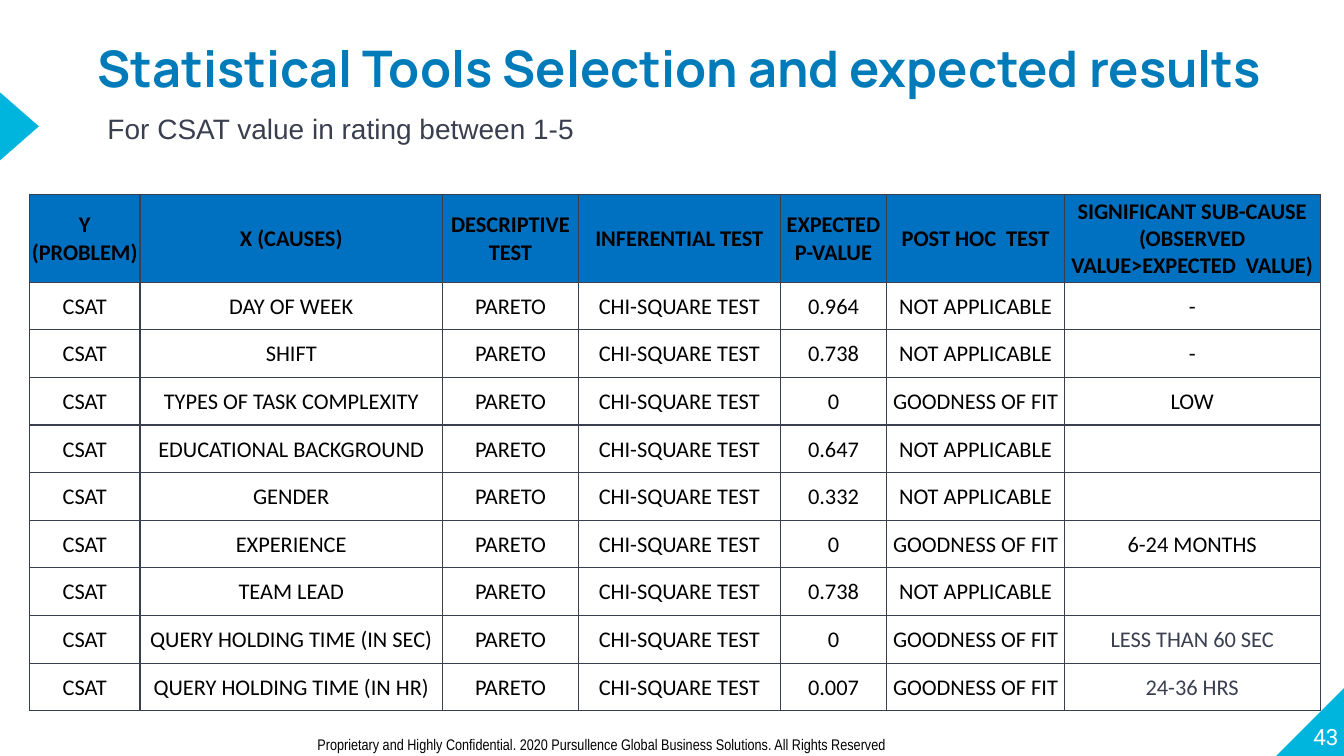
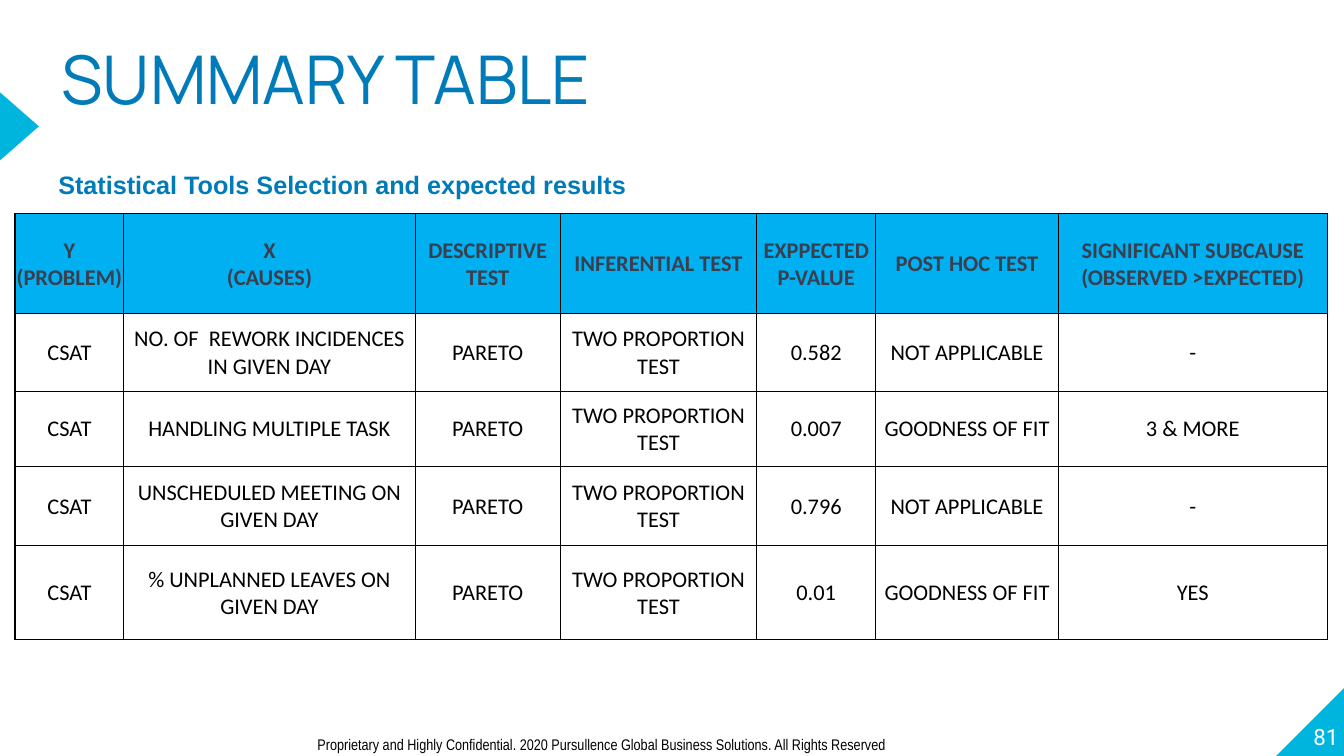
from dataclasses import dataclass, field

from lxml import etree
from pptx import Presentation
from pptx import util as u
from pptx.dml.color import RGBColor
from pptx.enum import shapes, text
from pptx.oxml import ns

LEFT, CENTER, RIGHT = text.PP_ALIGN.LEFT, text.PP_ALIGN.CENTER, text.PP_ALIGN.RIGHT
TOP, MIDDLE, BOTTOM = text.MSO_ANCHOR.TOP, text.MSO_ANCHOR.MIDDLE, text.MSO_ANCHOR.BOTTOM


def type_style(name, size, color, bold=False):
    return {"font": {"name": name, "size": u.Pt(size), "bold": bold}, "color": color}


@dataclass(frozen=True)
class Theme:
    accent: str = "00B5DD"
    title: str = "007BB9"
    slate: str = "3A3F50"
    black: str = "000000"
    white: str = "FFFFFF"
    deep_blue: str = "0070C0"
    sky_blue: str = "00B0F0"
    styles: dict = field(default_factory=dict)

    def __post_init__(self):
        self.styles.update(
            headline=type_style("Manrope", 36, self.title, True),
            display=type_style("Manrope", 48, self.title),
            lead=type_style("Arial", 20, self.slate),
            caption=type_style("Arial", 18, self.title, True),
            number=type_style("Roboto", 16, self.white),
            footer=type_style("Arial Narrow", 11, self.black),
            head_black=type_style("Calibri", 16, self.black, True),
            head_slate=type_style("Calibri", 16, self.slate, True),
            cell=type_style("Calibri", 16, self.black),
            cell_slate=type_style("Calibri", 16, self.slate),
        )


FOOTER = ("Proprietary and Highly Confidential. 2020 Pursullence Global Business "
          "Solutions. All Rights Reserved")


def lengths(values):
    return [u.Cm(value) for value in values]


def set_border(cell, side, points, color):
    """Draw one side (L, R, T or B) of a table cell."""
    line = etree.SubElement(cell._tc.get_or_add_tcPr(), ns.qn("a:ln" + side),
                            w=str(u.Pt(points)))
    fill = etree.SubElement(line, ns.qn("a:solidFill"))
    etree.SubElement(fill, ns.qn("a:srgbClr"), val=color)


class Report:
    def __init__(self, theme):
        self.theme = theme
        self.deck = Presentation()
        self.deck.slide_width, self.deck.slide_height = lengths((33.87, 19.05))
        self.page = None

    def set_text(self, frame, words, style, align=LEFT, spacing=1.0):
        look = self.theme.styles[style]
        frame.text = words
        for para in frame.paragraphs:
            para.alignment, para.line_spacing = align, spacing
            for span in para.runs:
                for name, value in look["font"].items():
                    setattr(span.font, name, value)
                span.font.color.rgb = RGBColor.from_string(look["color"])

    def set_frame(self, frame, anchor=TOP, inset=True, wrap=True):
        values = {"word_wrap": wrap, "vertical_anchor": anchor,
                  "auto_size": text.MSO_AUTO_SIZE.NONE}
        if not inset:
            values.update(margin_left=0, margin_top=0, margin_right=0, margin_bottom=0)
        for name, value in values.items():
            setattr(frame, name, value)

    def add_page(self, number):
        """Start a slide with the shared markers, page number and footer."""
        self.page = self.deck.slides.add_slide(self.deck.slide_layouts[5])
        self.add_marker(shapes.MSO_SHAPE.RIGHT_TRIANGLE, (32.16, 17.32, 1.73, 1.73), 270)
        self.add_marker(shapes.MSO_SHAPE.ISOSCELES_TRIANGLE, (-0.38, 2.69, 1.73, 0.99), 90)
        self.add_text(number, (32.03, 17.17, 1.7, 1.73), "number", RIGHT,
                      anchor=BOTTOM, inset=False)
        self.add_text(FOOTER, (7.75, 18.39, 21.62, 0.74), "footer")

    def add_marker(self, kind, place, rotation):
        marker = self.page.shapes.add_shape(kind, *lengths(place))
        marker.rotation = rotation
        marker.shadow.inherit = False
        marker.fill.solid()
        marker.fill.fore_color.rgb = RGBColor.from_string(self.theme.accent)
        marker.line.fill.background()

    def add_title(self, words, place, style, anchor, spacing):
        title = self.page.shapes.title
        for name, value in zip(("left", "top", "width", "height"), lengths(place)):
            setattr(title, name, value)
        self.set_frame(title.text_frame, anchor, inset=False)
        self.set_text(title.text_frame, words, style, spacing=spacing)

    def add_text(self, words, place, style, align=LEFT, spacing=1.0, **frame_values):
        box = self.page.shapes.add_textbox(*lengths(place))
        self.set_frame(box.text_frame, **frame_values)
        self.set_text(box.text_frame, words, style, align, spacing)

    def add_table(self, rows, corner, widths, heights, head_fill, head_style,
                  line_color, inner, outer, muted=()):
        """Add a table; outer is the weight of its left, top and right edges."""
        size = (sum(widths), sum(heights))
        table = self.page.shapes.add_table(
            len(rows), len(widths), *lengths(corner + size)).table
        table.first_row = table.horz_banding = False
        for column, width in zip(table.columns, widths):
            column.width = u.Cm(width)
        for row, height in zip(table.rows, heights):
            row.height = u.Cm(height)
        last = len(widths) - 1
        margins = {"margin_left": u.Cm(0.03), "margin_right": u.Cm(0.03),
                   "margin_top": u.Cm(0.03), "margin_bottom": 0}
        for r, row in enumerate(rows):
            for c, words in enumerate(row):
                cell = table.cell(r, c)
                edges = {"L": c == 0, "R": c == last, "T": r == 0, "B": False}
                for side, is_outer in edges.items():
                    set_border(cell, side, outer if is_outer else inner, line_color)
                for name, value in margins.items():
                    setattr(cell, name, value)
                cell.vertical_anchor = MIDDLE
                if r == 0:
                    cell.fill.solid()
                    cell.fill.fore_color.rgb = RGBColor.from_string(head_fill)
                    style = head_style
                else:
                    cell.fill.background()
                    style = "cell_slate" if words in muted else "cell"
                self.set_text(cell.text_frame, words, style, CENTER)


def test_rows(test, results):
    """Fill in the columns that are the same, or follow from the finding."""
    return [("CSAT", cause, "PARETO", test, value,
             "GOODNESS OF FIT" if finding not in ("", "-") else "NOT APPLICABLE", finding)
            for cause, value, finding in results]


def add_selection(report):
    theme = report.theme
    report.add_page("43")
    report.add_title("Statistical Tools Selection and expected results",
                     (2.46, 0.18, 30.4, 1.7), "headline", TOP, 1.5)
    report.add_text("For CSAT value in rating between 1-5",
                    (2.46, 2.69, 14.91, 1.12), "lead")
    head = ("Y (PROBLEM)", "X (CAUSES)", "DESCRIPTIVE TEST", "INFERENTIAL TEST",
            "EXPECTED P-VALUE", "POST HOC  TEST",
            "SIGNIFICANT SUB-CAUSE\v(OBSERVED VALUE>EXPECTED  VALUE)")
    results = (
        ("DAY OF WEEK", "0.964", "-"),
        ("SHIFT", "0.738", "-"),
        ("TYPES OF TASK COMPLEXITY", "0", "LOW"),
        ("EDUCATIONAL BACKGROUND", "0.647", ""),
        ("GENDER", "0.332", ""),
        ("EXPERIENCE", "0", "6-24 MONTHS"),
        ("TEAM LEAD", "0.738", ""),
        ("QUERY HOLDING TIME (IN SEC)", "0", "LESS THAN 60 SEC"),
        ("QUERY HOLDING TIME (IN HR)", "0.007", "24-36 HRS"),
    )
    report.add_table(
        [head] + test_rows("CHI-SQUARE TEST", results), (0.74, 4.9),
        (2.79, 7.62, 3.43, 5.08, 2.69, 4.47, 6.45), [2.21] + [1.2] * len(results),
        theme.deep_blue, "head_black", theme.slate, inner=1, outer=1,
        muted=("LESS THAN 60 SEC", "24-36 HRS"))


def add_summary(report):
    theme = report.theme
    report.add_page("81")
    report.add_title("SUMMARY TABLE", (1.55, 1.17, 30.48, 1.96), "display", MIDDLE, 0.8)
    head = ("Y (PROBLEM)", "X\n(CAUSES)", "DESCRIPTIVE TEST", "INFERENTIAL TEST",
            "EXPPECTED P-VALUE", "POST HOC TEST",
            "SIGNIFICANT SUBCAUSE (OBSERVED >EXPECTED)")
    results = (
        ("NO. OF  REWORK INCIDENCES IN GIVEN DAY", "0.582", "-"),
        ("HANDLING MULTIPLE TASK", "0.007", "3 & MORE"),
        ("UNSCHEDULED MEETING ON GIVEN DAY", "0.796", "-"),
        ("% UNPLANNED LEAVES ON GIVEN DAY", "0.01", "YES"),
    )
    report.add_table(
        [head] + test_rows("TWO PROPORTION TEST", results), (0.38, 5.38),
        (2.74, 7.34, 3.66, 4.95, 3, 4.6, 6.78), (2.52, 1.96, 1.88, 2.01, 2.36),
        theme.sky_blue, "head_slate", theme.black, inner=0.5, outer=1)
    report.add_text("Statistical Tools Selection and expected results",
                    (1.22, 3.76, 14.96, 1.42), "caption", spacing=1.5, wrap=False)


def main():
    report = Report(Theme())
    add_selection(report)
    add_summary(report)
    report.deck.save("out.pptx")


if __name__ == "__main__":
    main()
